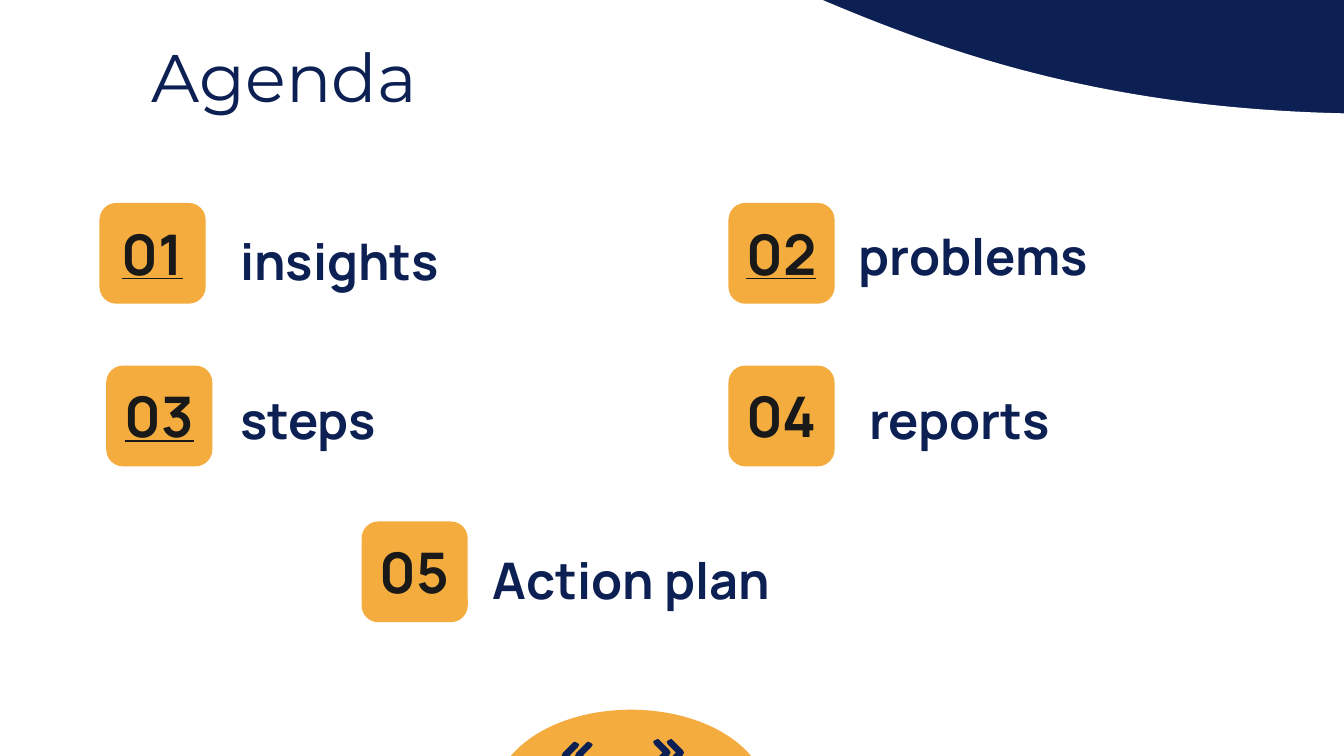
import pptx
import pptx.util
import pptx.dml.color
import pptx.enum.shapes
import pptx.enum.text

Inches = pptx.util.Inches
SHAPE = pptx.enum.shapes.MSO_SHAPE
ALIGN = pptx.enum.text.PP_ALIGN

SLIDE_W = 10
SLIDE_H = SLIDE_W * 9 / 16
NAVY, ORANGE, INK, WHITE = "0C2054", "F3AC3D", "191919", "FFFFFF"
BADGE_W, BADGE_H = 0.79, 0.75
NUMBER_W, LABEL_W, TEXT_H = 0.82, 2.94, 0.58

# number, underlined, badge position, label, label position
ITEMS = [
    ("01", True, (0.74, 1.51), "insights", (1.69, 1.65)),
    ("02", True, (5.42, 1.51), "problems", (6.29, 1.61)),
    ("03", True, (0.79, 2.72), "steps", (1.69, 2.83)),
    ("04", False, (5.42, 2.72), "reports", (6.37, 2.83)),
    ("05", False, (2.69, 3.88), "Action plan", (3.57, 4.02)),
]
CHEVRON_W = 0.13
CHEVRON = [
    (0.03, 0), (0.01, 0.01), (0, 0.02), (0.01, 0.04), (0.07, 0.1),
    (0.01, 0.16), (0, 0.18), (0.01, 0.2), (0.03, 0.21), (0.04, 0.2),
    (0.12, 0.12), (0.13, 0.1), (0.12, 0.08), (0.04, 0),
]
ARROWS = [((4.86, 4.96), 5.5, False), ((4.28, 4.18), 5.52, True)]


def rgb(value):
    return pptx.dml.color.RGBColor.from_string(value)


def paint(sp, color):
    sp.shadow.inherit = False
    sp.fill.solid()
    sp.fill.fore_color.rgb = rgb(color)
    sp.line.fill.background()


def add_shape(kind, x, y, w, h, color):
    sp = slide.shapes.add_shape(kind, Inches(x), Inches(y), Inches(w), Inches(h))
    paint(sp, color)
    return sp


def flip_vertically(sp):
    sp.rotation = 180
    sp._element.spPr.xfrm.set("flipH", "1")


def write(sp, text, size, color, font="Manrope", bold=True, underline=None,
          align=ALIGN.LEFT):
    tf = sp.text_frame
    tf.word_wrap = True
    tf.auto_size = pptx.enum.text.MSO_AUTO_SIZE.NONE
    tf.vertical_anchor = pptx.enum.text.MSO_ANCHOR.MIDDLE
    tf.margin_left = tf.margin_right = tf.margin_top = tf.margin_bottom = Inches(0.1)
    p = tf.paragraphs[0]
    p.alignment = align
    r = p.add_run()
    r.text = text
    r.font.size = pptx.util.Pt(size)
    r.font.name = font
    r.font.bold = bold
    r.font.underline = underline
    r.font.color.rgb = rgb(color)


def add_text(x, y, w, *args, **kwargs):
    sp = slide.shapes.add_textbox(Inches(x), Inches(y), Inches(w), Inches(TEXT_H))
    write(sp, *args, **kwargs)


def add_chevron(shapes, x, y, mirrored):
    points = [
        (Inches(x + (CHEVRON_W - dx if mirrored else dx)), Inches(y + dy))
        for dx, dy in CHEVRON
    ]
    builder = shapes.build_freeform(*points[0])
    builder.add_line_segments(points[1:], close=True)
    paint(builder.convert_to_shape(), NAVY)


prs = pptx.Presentation()
prs.slide_width, prs.slide_height = Inches(SLIDE_W), Inches(SLIDE_H)
slide = prs.slides.add_slide(prs.slide_layouts[5])
slide.background.fill.solid()
slide.background.fill.fore_color.rgb = rgb(NAVY)

title = slide.shapes.title
title.left, title.top = Inches(1.03), Inches(0.3)
title.width, title.height = Inches(8.43), Inches(0.53)
write(title, "Agenda", 36, NAVY, font="Montserrat", bold=False)

wave = add_shape(SHAPE.FLOWCHART_DOCUMENT, -0.28, -1.17, 10.57, 10.18, WHITE)
flip_vertically(wave)
title._element.addprevious(wave._element)

for number, underlined, (x, y), label, (label_x, label_y) in ITEMS:
    badge = add_shape(SHAPE.ROUNDED_RECTANGLE, x, y, BADGE_W, BADGE_H, ORANGE)
    badge.adjustments[0] = 0.167
    add_text(x + (BADGE_W - NUMBER_W) / 2, y + 0.08, NUMBER_W, number, 30, INK,
             underline=underlined, align=ALIGN.CENTER)
    add_text(label_x, label_y, LABEL_W, label, 27, NAVY)

dome = add_shape(SHAPE.PIE, 3.68, 5.28, 2.03, 1.31, ORANGE)
dome.adjustments[0] = 0
dome.adjustments[1] = 108.31
flip_vertically(dome)

for lefts, y, mirrored in ARROWS:
    group = slide.shapes.add_group_shape()
    for x in lefts:
        add_chevron(group.shapes, x, y, mirrored)

prs.save("out.pptx")
